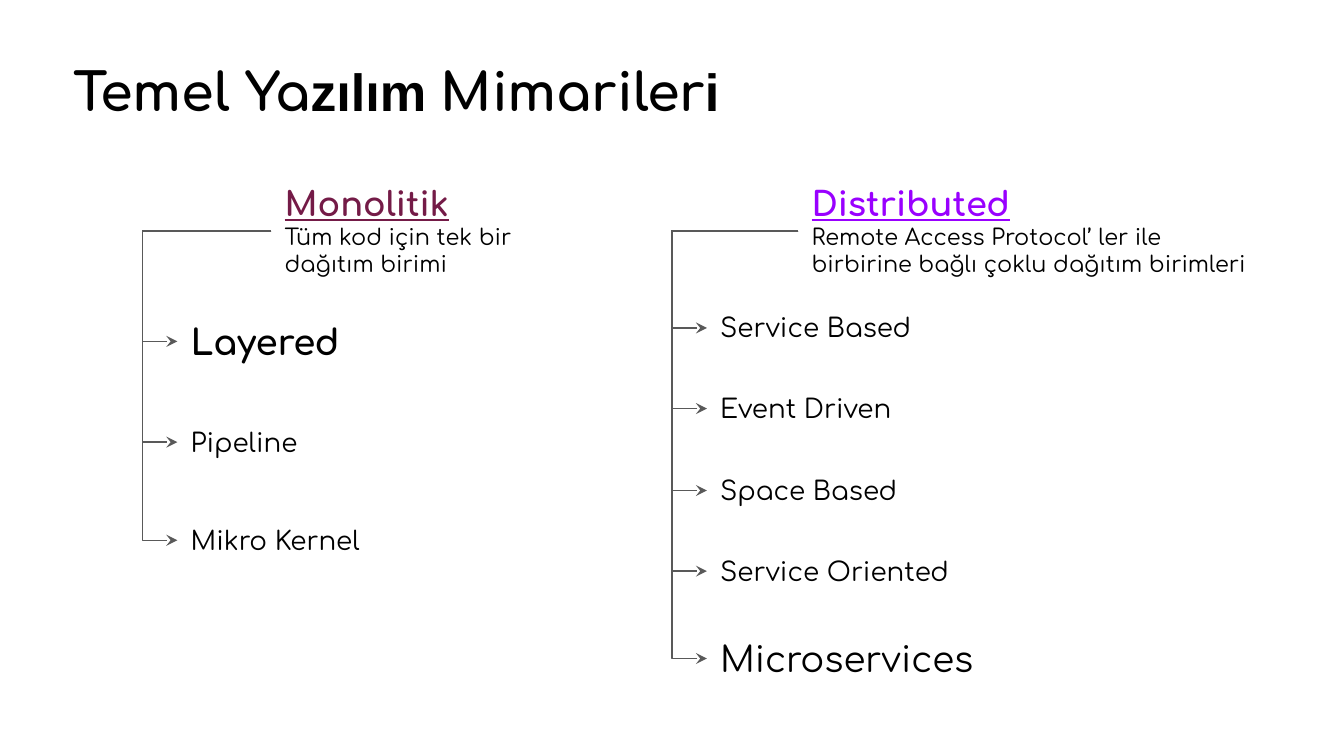
from lxml import etree
from pptx import Presentation
from pptx.dml.color import RGBColor
from pptx.enum import shapes, text
from pptx.oxml import ns
from pptx.util import Inches, Pt

BLACK = RGBColor(0x00, 0x00, 0x00)
GRAY = RGBColor(0x59, 0x59, 0x59)
PLUM = RGBColor(0x74, 0x1B, 0x47)
VIOLET = RGBColor(0x99, 0x00, 0xFF)
HEADING_TOP, HEADING_HEIGHT = 1.26, 0.91
HEADING_MIDDLE = 1.72
TRUNK_GAP = 0.26

families = [
    ("Monolitik", "Tüm kod için tek bir dağıtım birimi", PLUM, 2.02, 2.04, 1.32,
     [("Layered", 19, True, 2.54, 2.11), ("Pipeline", 14, False, 3.29, 1.14),
      ("Mikro Kernel", 14, False, 4.02, 1.81)]),
    ("Distributed",
     "Remote Access Protocol’ ler ile birbirine bağlı çoklu dağıtım birimleri",
     VIOLET, 5.94, 3.56, 5.26,
     [("Service Based", 14, False, 2.44, 2.04), ("Event Driven", 14, False, 3.04, 2.04),
      ("Space Based", 14, False, 3.65, 2.04), ("Service Oriented", 14, False, 4.25, 2.04),
      ("Microservices", 19, False, 4.9, 2.42)]),
]


def add_span(para, words, size, color=BLACK, bold=False, underline=False, face="Comfortaa"):
    span = para.add_run()
    span.text = words
    span.font.name = face
    span.font.size = Pt(size)
    span.font.bold = bold
    span.font.underline = underline
    span.font.color.rgb = color


def add_box(left, top, width, height):
    box = page.shapes.add_textbox(Inches(left), Inches(top), Inches(width), Inches(height))
    frame = box.text_frame
    frame.word_wrap = True
    frame.margin_left = frame.margin_right = Inches(0.1)
    frame.margin_top = frame.margin_bottom = Inches(0.1)
    return frame.paragraphs[0]


deck = Presentation()
deck.slide_width = Inches(10)
deck.slide_height = Inches(10) * 9 // 16
page = deck.slides.add_slide(deck.slide_layouts[5])

title = page.shapes.title
title.left, title.top = Inches(0.45), Inches(0.34)
title.width, title.height = Inches(7.88), Inches(0.83)
frame = title.text_frame
frame.auto_size = text.MSO_AUTO_SIZE.NONE
frame.word_wrap = True
frame.vertical_anchor = text.MSO_ANCHOR.TOP
frame.margin_left = frame.margin_right = Inches(0.1)
frame.margin_top = frame.margin_bottom = Inches(0.1)
para = frame.paragraphs[0]
para.alignment = text.PP_ALIGN.LEFT
for words, face in [("Temel Ya", "Comfortaa"), ("zılım ", "Arial"),
                    ("Mimariler", "Comfortaa"), ("i", "Arial")]:
    add_span(para, words, 28, bold=True, face=face)

for name, summary, color, heading_left, heading_width, item_left, items in families:
    para = add_box(heading_left, HEADING_TOP, heading_width, HEADING_HEIGHT)
    add_span(para, name, 18, color, bold=True, underline=True)
    para.add_line_break()
    add_span(para, summary, 12)

    bend = round((1 + TRUNK_GAP / (heading_left - item_left)) * 100000)
    for label, size, bold, middle, width in items:
        height = 0.52 if size > 14 else 0.44
        para = add_box(item_left, middle - height / 2, width, height)
        add_span(para, label, size, bold=bold)

        branch = page.shapes.add_connector(
            shapes.MSO_CONNECTOR.ELBOW, Inches(heading_left), Inches(HEADING_MIDDLE),
            Inches(item_left), Inches(middle))
        branch.line.color.rgb = GRAY
        branch.line.width = Pt(0.75)
        properties = branch.element.spPr
        guides = properties.find(ns.qn("a:prstGeom")).find(ns.qn("a:avLst"))
        etree.SubElement(guides, ns.qn("a:gd"), name="adj1", fmla=f"val {bend}")
        outline = properties.find(ns.qn("a:ln"))
        etree.SubElement(outline, ns.qn("a:tailEnd"), type="stealth")
        etree.SubElement(properties, ns.qn("a:effectLst"))

deck.save("out.pptx")
